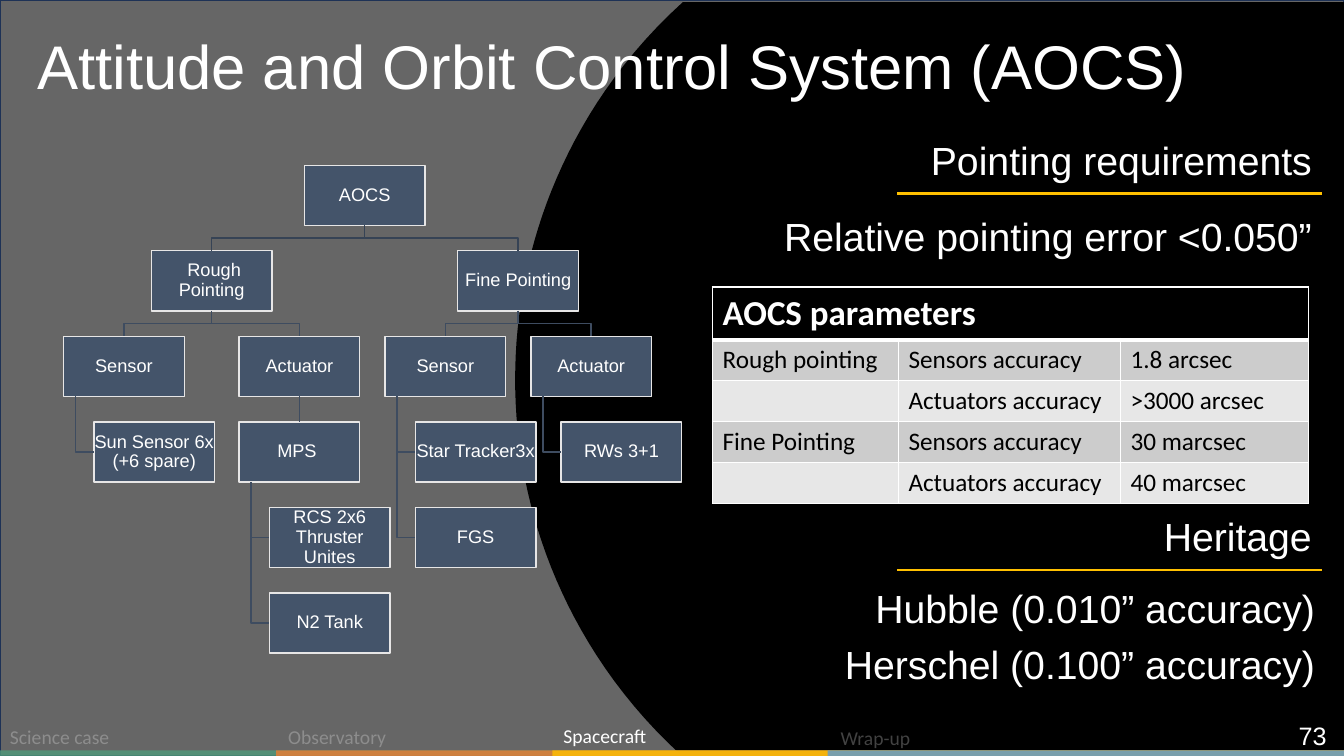
from math import sqrt

from lxml.etree import SubElement
from pptx import Presentation
from pptx.dml.color import RGBColor
from pptx.enum.shapes import MSO_CONNECTOR as Link, MSO_SHAPE as Form
from pptx.enum.text import MSO_ANCHOR as Anchor, MSO_AUTO_SIZE as Fit, PP_ALIGN as Align
from pptx.oxml.ns import qn
from pptx.util import Pt

WIDE, HIGH = 960, 540
WHITE, BLACK, GOLD = "FFFFFF", "000000", "FFC000"
BOX_W, BOX_H, STEP, TOP, INDENT = 86.2, 43, 61.1, 118, 21.6

# Each node is (label, left, children); a child set in by INDENT hangs from its parent's side.
TREE = ("AOCS", 217.4, [
    (" Rough Pointing", 108, [
        ("Sensor", 45.4, [("Sun Sensor 6x (+6 spare)", 67, [])]),
        ("Actuator", 170.8, [
            ("MPS ", 170.8, [
                ("RCS 2x6 Thruster Unites", 192.4, []),
                ("N2 Tank", 192.4, [])])])]),
    ("Fine Pointing", 327, [
        ("Sensor", 275, [("Star Tracker3x", 296.6, []), ("FGS", 296.6, [])]),
        ("Actuator", 379.2, [("RWs 3+1", 400.8, [])])])])

ROWS = [
    ("AOCS parameters", "", ""),
    ("Rough pointing", "Sensors accuracy", "1.8 arcsec"),
    ("", "Actuators accuracy", ">3000 arcsec"),
    ("Fine Pointing", "Sensors accuracy", "30 marcsec"),
    ("", "Actuators accuracy", "40 marcsec")]


def paint(fill, hue):
    fill.solid()
    fill.fore_color.rgb = RGBColor.from_string(hue)


def fade(node, share):
    """Give every colour already set in the node an opacity in percent."""
    for clr in node.iter(qn("a:srgbClr")):
        SubElement(clr, qn("a:alpha"), val=str(share * 1000))


def write(frame, text, size=28, font="Arial", hue=WHITE, bold=False,
          align=Align.LEFT, lead=None, gap=0):
    """Fill a text frame, one paragraph a line, with gap points between them."""
    for i, line in enumerate(text.split("\n")):
        para = frame.add_paragraph() if i else frame.paragraphs[0]
        para.alignment = align
        if lead:
            para.line_spacing = lead
        if i:
            para.space_before = Pt(gap)
        run = para.add_run()
        run.text = line
        run.font.name, run.font.size, run.font.bold = font, Pt(size), bold
        paint(run.font.fill, hue)


def edge(cell, side, width):
    """Add a white border; call before the cell gets its fill."""
    line = SubElement(cell._tc.get_or_add_tcPr(), qn("a:ln" + side), w=str(Pt(width)))
    SubElement(SubElement(line, qn("a:solidFill")), qn("a:srgbClr"), val=WHITE)


class Page:
    def __init__(self, slide):
        self.slide, self.shapes = slide, slide.shapes

    def rect(self, x, y, w, h, hue, line=None, share=None):
        shape = self.shapes.add_shape(Form.RECTANGLE, Pt(x), Pt(y), Pt(w), Pt(h))
        return self.style(shape, hue, line, share)

    def style(self, shape, hue=None, line=None, share=None):
        shape.shadow.inherit = False
        if hue:
            paint(shape.fill, hue)
        else:
            shape.fill.background()
        if share:
            fade(shape._element, share)
        if line:
            paint(shape.line.fill, line)
            shape.line.width = Pt(1)
        else:
            shape.line.fill.background()
        return shape

    def trace(self, dots, hue=None, line=None):
        """Draw an outline through the dots, closed when it has a fill."""
        dots = [(Pt(x), Pt(y)) for x, y in dots]
        pen = self.shapes.build_freeform(*dots[0])
        pen.add_line_segments(dots[1:], close=bool(hue))
        return self.style(pen.convert_to_shape(), hue, line)

    def line(self, x, y, end, low, hue, width):
        rule = self.shapes.add_connector(Link.STRAIGHT, Pt(x), Pt(y), Pt(end), Pt(low))
        paint(rule.line.fill, hue)
        rule.line.width = Pt(width)
        SubElement(rule._element.spPr, qn("a:effectLst"))
        return rule

    def text(self, x, y, w, h, words, share=None, anchor=Anchor.TOP, **form):
        box = self.shapes.add_textbox(Pt(x), Pt(y), Pt(w), Pt(h))
        box.text_frame.word_wrap = True
        box.text_frame.vertical_anchor = anchor
        write(box.text_frame, words, **form)
        if share:
            fade(box._element, share)

    def title(self, words):
        """Fill the title and bring it in front of all drawn so far."""
        head = self.shapes.title
        head.left, head.top, head.width, head.height = Pt(19.4), Pt(19.4), Pt(924.5), Pt(60.5)
        frame = head.text_frame
        frame.auto_size, frame.vertical_anchor = Fit.NONE, Anchor.MIDDLE
        write(frame, words, size=44, lead=0.9)
        self.shapes._spTree.append(head._element)

    def bands(self):
        starts = [0, 197.3, 394.6, 591.1]
        for x, hue in zip(starts, ["4F9A7A", "ED7D31", GOLD, "5B9BD5"]):
            self.rect(x, 536, WIDE - x, 4, hue, share=80)

    def tree(self, node, level=0):
        """Draw a node with all below it, and return its box."""
        label, x, kids = node
        y = TOP + level * STEP
        low, mid = y + BOX_H, x + BOX_W / 2
        hue = "3E4C60" if level else "364355"
        box = self.rect(x, y, BOX_W, BOX_H, "44546A", "E7E6E6")
        frame = box.text_frame
        frame.word_wrap, frame.vertical_anchor = True, Anchor.MIDDLE
        frame.margin_left = frame.margin_right = Pt(0.4)
        frame.margin_top = frame.margin_bottom = Pt(0.4)
        write(frame, label, size=13, align=Align.CENTER, lead=0.9)
        for i, kid in enumerate(kids):
            left = kid[1]
            hangs = round(left - x, 1) == INDENT
            depth = level + 1 + (i if hangs else 0)
            top = TOP + depth * STEP
            child = self.tree(kid, depth)
            if left == x:
                rule = self.line(mid, low, mid, top, hue, 1)
                rule.begin_connect(box, 2)
                rule.end_connect(child, 0)
            elif hangs:
                stem, side = x + BOX_W / 10, top + BOX_H / 2
                self.trace([(stem, low), (stem, side), (left, side)], line=hue)
            else:
                turn, goal = (low + top) / 2, left + BOX_W / 2
                self.trace([(mid, low), (mid, turn), (goal, turn), (goal, top)], line=hue)
        return box

    def table(self, x, y, cols, highs, rows):
        grid = self.shapes.add_table(len(rows), len(cols), Pt(x), Pt(y),
                                     Pt(sum(cols)), Pt(sum(highs))).table
        for col, w in zip(grid.columns, cols):
            col.width = Pt(w)
        for r, row in enumerate(rows):
            grid.rows[r].height = Pt(highs[r])
            for c, words in enumerate(row):
                cell = grid.cell(r, c)
                for side in "LRTB":
                    thick = (r == 0 and side == "B") or (r == 1 and side == "T")
                    edge(cell, side, 3 if thick else 1)
                paint(cell.fill, ("CCCCCC" if r % 2 else "E7E7E7") if r else BLACK)
                if words:
                    write(cell.text_frame, words, size=18 if r else 25, font="Calibri",
                          hue=BLACK if r else WHITE, bold=not r)
        grid.cell(0, 0).merge(grid.cell(0, len(cols) - 1))


def main():
    deck = Presentation()
    deck.slide_width, deck.slide_height = Pt(WIDE), Pt(HIGH)
    page = Page(deck.slides.add_slide(deck.slide_layouts[5]))

    page.rect(0, 0, WIDE, HIGH, BLACK, "1E3256", 60)
    ys = [1.5 + 538.5 * i / 60 for i in range(61)]
    arc = [(731 - sqrt(363 ** 2 - (y - 271) ** 2), y) for y in ys]
    page.trace([(WIDE, 1.5), *arc, (WIDE, HIGH)], BLACK)
    page.bands()
    for x, y, words, share in [(0, 514, "Science case", 25), (198.7, 514, "Observatory", 25),
                               (395.3, 513.4, "Spacecraft", None), (593.3, 514.8, "Wrap-up", 25)]:
        page.text(x, y, 173.5, 24.5, words, share, size=14, font="Calibri")
    page.text(738.7, 511.2, 216, 28.8, "73", size=18, align=Align.RIGHT, anchor=Anchor.MIDDLE)

    page.title("Attitude and Orbit Control System (AOCS)")
    page.tree(TREE)
    page.table(509, 205, [132.8, 158.6, 134.2], [37.4] + [29.2] * 4, ROWS)

    for x, y, h, words in [
            (455, 97.6, 40, "Pointing requirements"),
            (455, 152, 44.6, "Relative pointing error <0.050”"),
            (455, 366.5, 40, "Heritage"),
            (457.2, 417.6, 82.8, "Hubble (0.010” accuracy)\nHerschel (0.100” accuracy)")]:
        page.text(x, y, 489, h, words, align=Align.RIGHT, lead=0.9, gap=10)
    for y in (138.2, 407):
        page.line(640.8, y, 944, y, GOLD, 1.5)

    deck.save("out.pptx")


if __name__ == "__main__":
    main()
